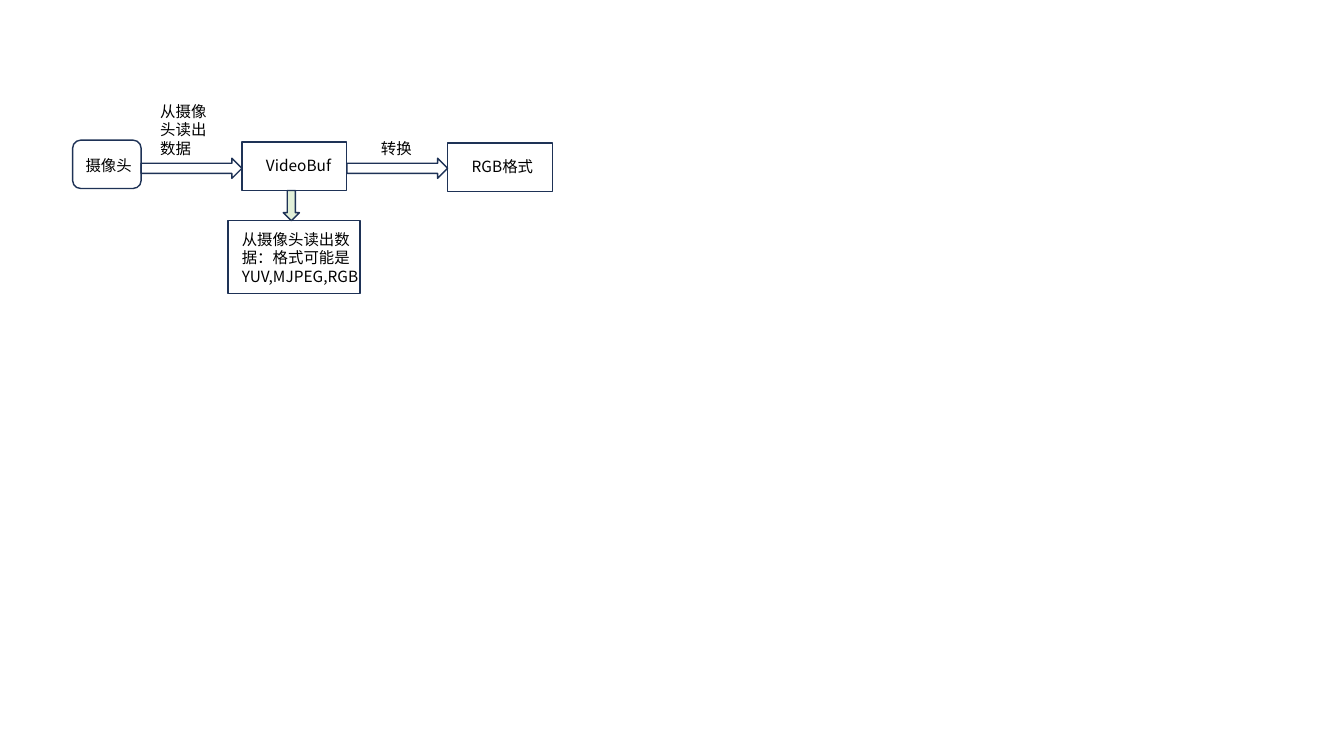
from lxml.etree import SubElement
from pptx import Presentation
from pptx.dml.color import RGBColor
from pptx.enum.shapes import MSO_SHAPE as Shape
from pptx.enum.text import MSO_AUTO_SIZE as AutoSize
from pptx.oxml.ns import qn
from pptx.util import Inches, Pt

FONT = "Noto Sans CJK SC"
COLUMNS, ROWS = 1333, 750

deck = Presentation()
deck.slide_width, deck.slide_height = Inches(13.33), Inches(7.5)
cell_w, cell_h = deck.slide_width / COLUMNS, deck.slide_height / ROWS
slide = deck.slides.add_slide(deck.slide_layouts[6])


def color(hex_code):
    return RGBColor.from_string(hex_code)


def grid(column, row, columns, rows):
    """Turn a span of grid cells into left, top, width and height."""
    return (round(column * cell_w), round(row * cell_h),
            round(columns * cell_w), round(rows * cell_h))


# Flow from left to right: each step starts where the arrow before it ends
step_height, arrow_length, arrow_height, arrow_top = 48, 100, 20, 157
camera_left, camera_width, step_width = 72, 68, 104
read_left = camera_left + camera_width
buffer_left = read_left + arrow_length
convert_left = buffer_left + step_width
rgb_left = convert_left + arrow_length
buffer_top, formats_top = 141, 219
buffer_bottom = buffer_top + step_height

outlines = [
    (Shape.RECTANGLE, (226, formats_top, 131, 72), None),
    (Shape.ROUNDED_RECTANGLE, (camera_left, 139, camera_width, step_height), None),
    (Shape.RIGHT_ARROW, (read_left, arrow_top, arrow_length, arrow_height), None),
    (Shape.RECTANGLE, (buffer_left, buffer_top, step_width, step_height), None),
    (Shape.RIGHT_ARROW, (convert_left, arrow_top, arrow_length, arrow_height), None),
    (Shape.DOWN_ARROW, (281, buffer_bottom, 16, formats_top - buffer_bottom), "E2F0D9"),
    (Shape.RECTANGLE, (rgb_left, 142, step_width, step_height), None),
]
for kind, place, fill in outlines:
    outline = slide.shapes.add_shape(kind, *grid(*place))
    outline.shadow.inherit = False
    if fill:
        outline.fill.solid()
        outline.fill.fore_color.rgb = color(fill)
    else:
        outline.fill.background()
    outline.line.color.rgb = color("1E3256")
    outline.line.width = Pt(1)

one_line, three_lines = 29, 66
labels = [
    ("摄像头", (75, 150, 75, one_line)),
    ("从摄像头读出数据", (149, 96, 68, three_lines)),
    ("VideoBuf", (254, 150, 103, one_line)),
    ("从摄像头读出数据：格式可能是YUV,MJPEG,RGB", (230, 223, 141, three_lines)),
    ("转换", (368, 133, 75, one_line)),
    ("RGB格式", (458, 151, 103, one_line)),
]
frame_format = {"word_wrap": True, "auto_size": AutoSize.SHAPE_TO_FIT_TEXT}
font_format = {"name": FONT, "size": Pt(11)}
for wording, place in labels:
    frame = slide.shapes.add_textbox(*grid(*place)).text_frame
    for attribute, value in frame_format.items():
        setattr(frame, attribute, value)
    run = frame.paragraphs[0].add_run()
    run.text = wording
    for attribute, value in font_format.items():
        setattr(run.font, attribute, value)
    run.font.color.rgb = color("000000")
    # Chinese characters take their font from a:ea
    SubElement(run.font._element, qn("a:ea")).set("typeface", FONT)

deck.save("out.pptx")
